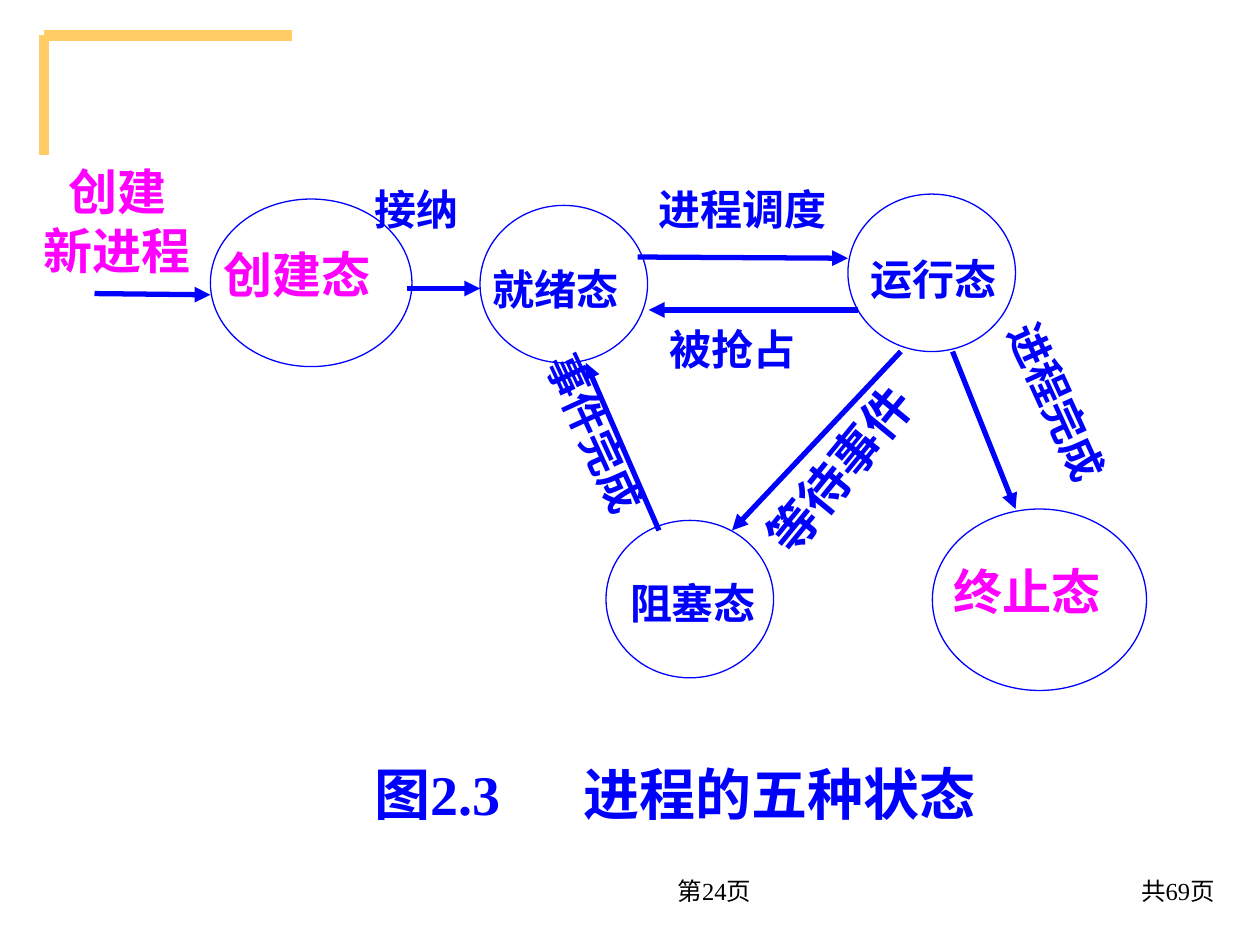
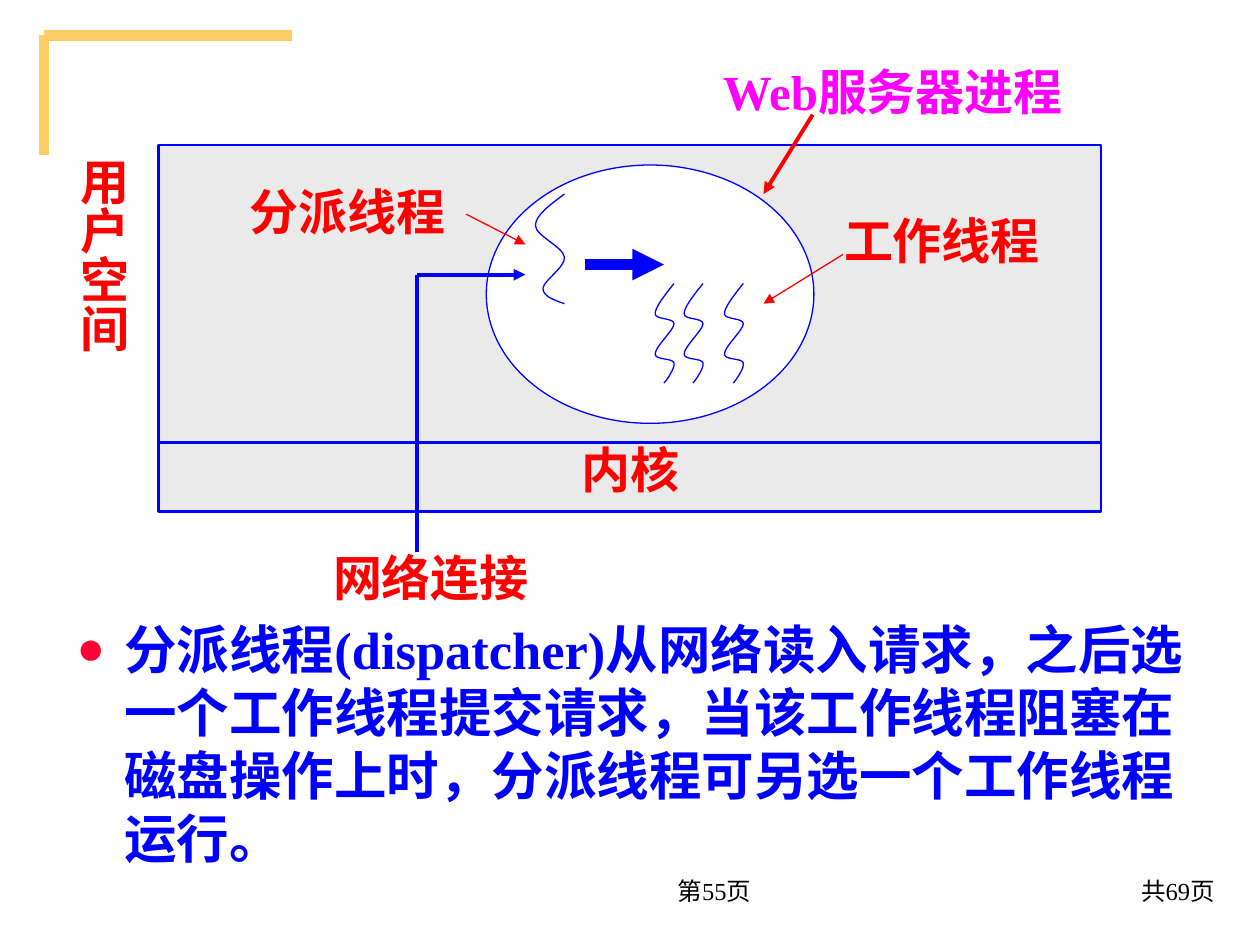
from dataclasses import dataclass
from lxml.etree import SubElement
from pptx import Presentation
from pptx.dml.color import RGBColor
from pptx.enum.lang import MSO_LANGUAGE_ID
from pptx.enum.shapes import MSO_CONNECTOR, MSO_SHAPE
from pptx.enum.text import MSO_ANCHOR, MSO_AUTO_SIZE, PP_ALIGN
from pptx.oxml.ns import qn
from pptx.util import Inches, Pt


@dataclass(frozen=True)
class Theme:
    font: str = "Times New Roman"
    blue: str = "0000FF"
    magenta: str = "FF00FF"
    red: str = "FF0000"
    black: str = "000000"
    white: str = "FFFFFF"
    panel: str = "EAEAEA"
    corner: str = "FFCC66"
    bullet: str = "FF0033"
    footer_size: int = 14
    small: int = 24
    label: int = 28
    body: int = 30
    caption: int = 32
    hairline: float = 0.75
    outline: float = 1.5
    medium: float = 2.25
    arrow: float = 3
    heavy: float = 6


THEME = Theme()
TOTAL_PAGES = 69
DISPATCHER_CURVE = [
    (0.23, 0), (0.11, 0.09), (0, 0.17), (0, 0.25), (0, 0.33), (0.22, 0.42), (0.23, 0.5),
    (0.24, 0.58), (0.06, 0.69), (0.06, 0.75), (0.06, 0.81), (0.14, 0.84), (0.23, 0.87),
]
WORKER_CURVE = [
    (0.15, 0), (0.07, 0.1), (0, 0.19), (0, 0.24), (0, 0.29), (0.15, 0.27), (0.15, 0.32),
    (0.15, 0.37), (0, 0.5), (0, 0.56), (0, 0.61), (0.14, 0.59), (0.15, 0.63),
    (0.16, 0.67), (0.09, 0.77), (0.07, 0.79),
]


def apply_format(target, values):
    for name, value in values.items():
        setattr(target, name, value)


def set_line(line, color, width):
    line.color.rgb = RGBColor.from_string(color)
    line.width = Pt(width)


def bend_segments(thread):
    segments = list(thread._element.iter(qn("a:lnTo")))
    outline = segments[0].getparent()
    for i in range(0, len(segments), 3):
        bend = SubElement(outline, qn("a:cubicBezTo"))
        for segment in segments[i:i + 3]:
            bend.append(segment[0])
            outline.remove(segment)


@dataclass
class Region:
    slide: object
    left: float
    top: float
    width: float
    height: float

    def place(self, x, y):
        return Inches(self.left + x), Inches(self.top + y)

    def line(self, start, end, color=THEME.blue, width=THEME.arrow, head=True):
        connector = self.slide.shapes.add_connector(
            MSO_CONNECTOR.STRAIGHT, *self.place(*start), *self.place(*end))
        set_line(connector.line, color, width)
        if head:
            SubElement(connector.line._get_or_add_ln(), qn("a:tailEnd"), type="triangle")
        SubElement(connector._element.spPr, qn("a:effectLst"))

    def outline(self, kind, x, y, width, height, fill=None, weight=THEME.hairline):
        shape = self.slide.shapes.add_shape(
            kind, *self.place(x, y), Inches(width), Inches(height))
        shape.shadow.inherit = False
        if fill:
            shape.fill.solid()
            shape.fill.fore_color.rgb = RGBColor.from_string(fill)
        else:
            shape.fill.background()
        set_line(shape.line, THEME.blue, weight)

    def curve(self, x, y, controls):
        points = [self.place(x + dx, y + dy) for dx, dy in controls]
        builder = self.slide.shapes.build_freeform(*points[0])
        builder.add_line_segments(points[1:], close=False)
        thread = builder.convert_to_shape()
        bend_segments(thread)
        thread.shadow.inherit = False
        thread.fill.background()
        set_line(thread.line, THEME.blue, THEME.hairline)

    def text(self, words, x, y, width, height, size=THEME.label, color=THEME.blue,
             align=PP_ALIGN.LEFT, inset=(0.1, 0.05), wrap=True, bold=True, rotation=0,
             anchor=MSO_ANCHOR.TOP, grow=True):
        box = self.slide.shapes.add_textbox(
            *self.place(x, y), Inches(width), Inches(height))
        box.rotation = rotation
        frame = box.text_frame
        side, edge = map(Inches, inset)
        apply_format(frame, {
            "text": words, "word_wrap": wrap, "vertical_anchor": anchor,
            "margin_left": side, "margin_right": side,
            "margin_top": edge, "margin_bottom": edge,
            "auto_size": MSO_AUTO_SIZE.SHAPE_TO_FIT_TEXT if grow else MSO_AUTO_SIZE.NONE,
        })
        for paragraph in frame.paragraphs:
            paragraph.alignment = align
            for run in paragraph.runs:
                apply_format(run.font, {
                    "name": THEME.font, "size": Pt(size), "bold": bold,
                    "language_id": MSO_LANGUAGE_ID.SIMPLIFIED_CHINESE,
                })
                run.font.color.rgb = RGBColor.from_string(color)
        return frame

    def tight_text(self, *args, **options):
        return self.text(*args, inset=(0, 0), wrap=False, **options)


def new_slide(deck, page):
    slide = deck.slides.add_slide(deck.slide_layouts[6])
    corner = Region(slide, 0.35, 0.28, 1.97, 0.95)
    for end in ((corner.width, 0), (0, corner.height)):
        corner.line((0, 0), end, THEME.corner, THEME.heavy, head=False)
    footer = Region(slide, 3.98, 6.82, 5.76, 0.5)
    for words, x, width in ((f"共{TOTAL_PAGES}页", 2.59, 3.17), (f"第{page}页", 0, 2.08)):
        footer.text(words, x, 0, width, footer.height, THEME.footer_size, THEME.black,
                    PP_ALIGN.RIGHT, bold=False, anchor=MSO_ANCHOR.MIDDLE, grow=False)
    return slide


def draw_state_diagram(region):
    states = [
        (1.32, 0.3, 1.6, 1.33), (3.46, 0.35, 1.33, 1.25), (6.38, 0.26, 1.33, 1.25),
        (4.46, 2.85, 1.33, 1.25), (7.05, 2.76, 1.7, 1.44),
    ]
    transitions = [
        ((0.4, 1.05), (1.32, 1.06)), ((2.88, 1.01), (3.46, 1.01)),
        ((4.71, 0.76), (6.38, 0.77)), ((6.46, 1.18), (4.8, 1.18)),
        ((7.21, 1.51), (7.71, 2.76)), ((6.8, 1.51), (5.46, 2.93)),
        ((4.88, 2.93), (4.3, 1.6)),
    ]
    blue_labels = [
        ("阻塞态", 4.65, 3.3, 1.02, 0), ("进程调度", 4.88, 0.18, 1.36, 0),
        ("被抢占", 4.96, 1.29, 1.02, 0), ("接纳", 2.62, 0.18, 0.68, 0),
        ("事件完成", 3.7, 1.97, 1.36, 65.4), ("进程完成", 7.37, 1.72, 1.36, 65.5),
    ]
    for state in states:
        region.outline(MSO_SHAPE.OVAL, *state)
    for start, end in transitions:
        region.line(start, end)
    for words, x, y, width, rotation in blue_labels:
        region.tight_text(words, x, y, width, 0.4, THEME.small, rotation=rotation)
    region.tight_text("等待事件", 5.53, 2.2, 1.58, 0.47, rotation=309.3)
    for words, x, y, width in (("就绪态", 3.46, 0.76, 1.42), ("运行态", 6.46, 0.68, 1.33)):
        region.text(words, x, y, width, 0.5, THEME.small)
    for words, x, y, height in (("创建态", 1.42, 0.66, 0.47), ("终止态", 7.21, 3.18, 0.47),
                                ("创建\n新进程", -0.01, 0, 0.93)):
        region.tight_text(words, x, y, 1.18, height, color=THEME.magenta,
                          align=PP_ALIGN.CENTER)


def draw_caption(region):
    frame = region.text("图2.3\t进程的五种状态", 0, 0, region.width, region.height,
                        THEME.caption)
    stops = SubElement(frame.paragraphs[0]._p.get_or_add_pPr(), qn("a:tabLst"))
    SubElement(stops, qn("a:tab"), pos=str(Inches(1.66)), algn="l")


def draw_server_process(region):
    region.outline(MSO_SHAPE.RECTANGLE, 0, 0, region.width, region.height,
                   THEME.panel, THEME.outline)
    region.line((0, 2.36), (region.width, 2.36), width=THEME.outline, head=False)
    region.outline(MSO_SHAPE.OVAL, 2.6, 0.16, 2.6, 2.05, THEME.white)
    region.curve(2.99, 0.39, DISPATCHER_CURVE)
    for x in (3.94, 4.17, 4.49):
        region.curve(x, 1.1, WORKER_CURVE)
    network_corner = (2.05, 1.03)
    region.line(network_corner, (2.05, 3.23), width=THEME.medium, head=False)
    arrows = [
        (network_corner, (2.91, 1.03), THEME.blue, THEME.medium),
        ((3.38, 0.95), (4.01, 0.95), THEME.blue, THEME.heavy),
        ((2.44, 0.55), (2.91, 0.79), THEME.red, THEME.hairline),
        ((5.43, 0.87), (4.8, 1.26), THEME.red, THEME.hairline),
        ((5.19, -0.24), (4.8, 0.39), THEME.red, THEME.medium),
    ]
    for arrow in arrows:
        region.line(*arrow)
    labels = [
        ("分派线程", 0.47, 0.24, 2.05, 0.57), ("工作线程", 5.27, 0.47, 1.89, 0.57),
        ("内核", 2.68, 2.29, 2.13, 0.57), ("网络连接", 0.94, 3.15, 2.44, 0.57),
    ]
    for label in labels:
        region.text(*label, color=THEME.red, align=PP_ALIGN.CENTER)
    region.text("Web服务器进程", 4.33, -0.71, 2.99, 1.04, color=THEME.magenta,
                align=PP_ALIGN.CENTER, grow=False)
    user_space = region.text("用户空间", -0.82, 0, 0.66, 2.05, color=THEME.red,
                             align=PP_ALIGN.CENTER, inset=(0.05, 0.1), grow=False)
    user_space._txBody.bodyPr.set("vert", "eaVert")


def draw_explanation(region):
    frame = region.text(
        "分派线程(dispatcher)从网络读入请求，之后选一个工作线程提交请求，"
        "当该工作线程阻塞在磁盘操作上时，分派线程可另选一个工作线程运行。",
        0, 0, region.width, region.height, THEME.body, grow=False)
    properties = frame.paragraphs[0]._p.get_or_add_pPr()
    properties.set("marL", str(Inches(0.38)))
    properties.set("indent", str(Inches(-0.38)))
    bullet_color = SubElement(properties, qn("a:buClr"))
    SubElement(bullet_color, qn("a:srgbClr"), val=THEME.bullet)
    SubElement(properties, qn("a:buSzPct"), val="90000")
    SubElement(properties, qn("a:buFont"), typeface=THEME.font)
    SubElement(properties, qn("a:buChar"), char="●")


def main():
    deck = Presentation()
    apply_format(deck, {"slide_width": Inches(10), "slide_height": Inches(7.5)})
    states = new_slide(deck, 24)
    draw_state_diagram(Region(states, 0.35, 1.28, 8.75, 4.2))
    draw_caption(Region(states, 2.87, 5.98, 4.98, 0.64))
    threads = new_slide(deck, 55)
    draw_server_process(Region(threads, 1.26, 1.15, 7.48, 2.91))
    draw_explanation(Region(threads, 0.51, 4.85, 8.98, 2.36))
    deck.save("out.pptx")


if __name__ == "__main__":
    main()
